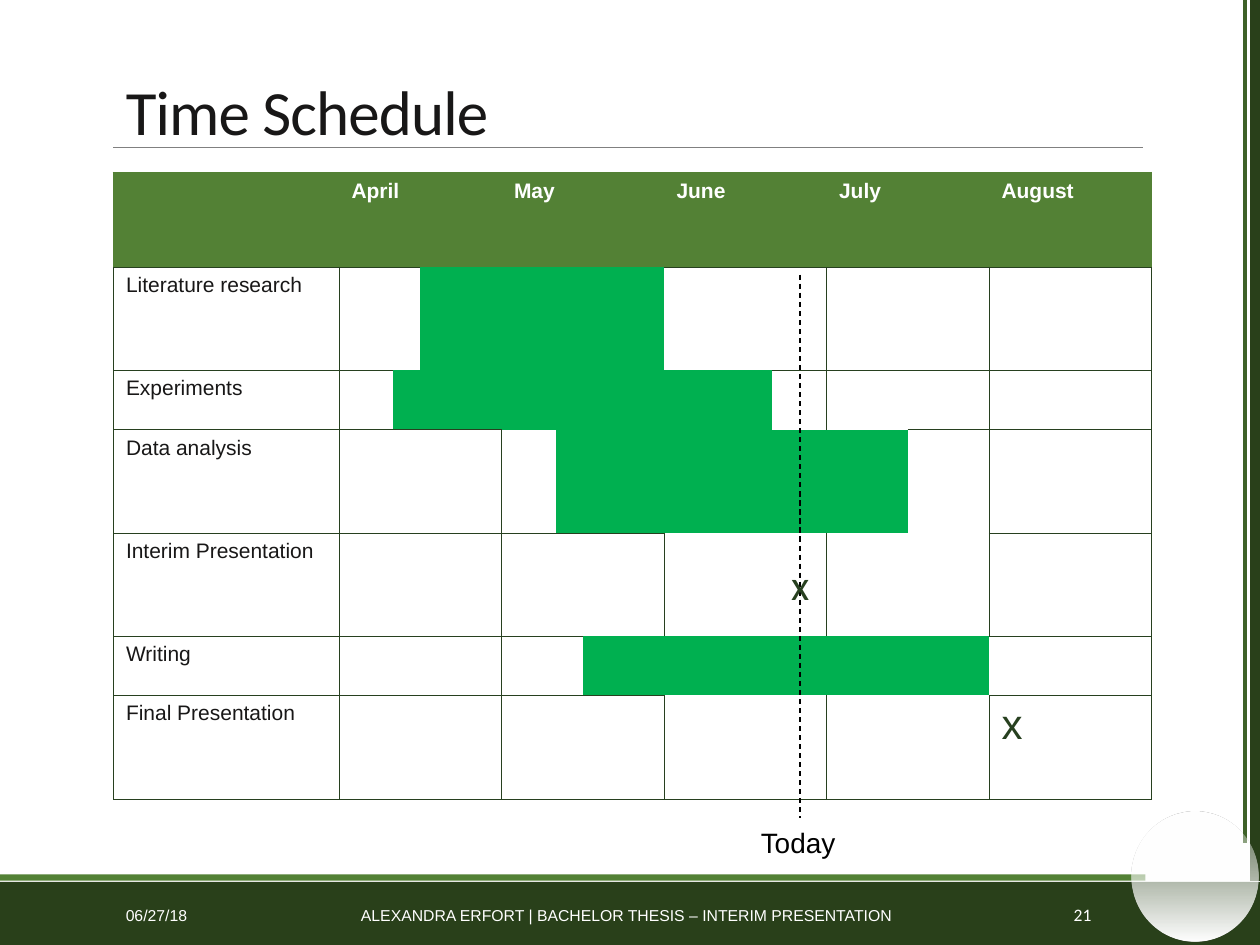
from lxml import etree
from pptx import Presentation
from pptx.dml.color import RGBColor
from pptx.enum.dml import MSO_LINE
from pptx.enum.shapes import MSO_CONNECTOR, MSO_SHAPE
from pptx.enum.text import MSO_ANCHOR, PP_ALIGN
from pptx.oxml import parse_xml
from pptx.oxml.ns import nsdecls, qn
from pptx.util import Inches, Pt

STRAIGHT = MSO_CONNECTOR.STRAIGHT
RECTANGLE, OVAL = MSO_SHAPE.RECTANGLE, MSO_SHAPE.OVAL
TOP, MIDDLE, BOTTOM = MSO_ANCHOR.TOP, MSO_ANCHOR.MIDDLE, MSO_ANCHOR.BOTTOM
LEFT, CENTER, RIGHT = PP_ALIGN.LEFT, PP_ALIGN.CENTER, PP_ALIGN.RIGHT
DASH = MSO_LINE.DASH

COLORS = {
    "white": "FFFFFF", "black": "000000", "ink": "181717", "rule": "808080",
    "footer": "29401A", "accent": "538135", "stripe": "3E6128",
    "grid": "27401F", "bar": "00B050",
}
WIDTH, HEIGHT = 10, 7.5

# Schedule grid: each month is six units wide, split where bars start or end
LABEL_WIDTH = 17.9
UNIT = 2.15
COLUMN_UNITS = [2, 1, 1, 2, 2, 1, 3, 2, 1, 1, 2, 3, 3, 6]
HEADER_ROW, TALL_ROW, SHORT_ROW = 10, 10.93, 6.27

# Month: name, columns spanned, edges
MONTHS = [("April", 4, "tb"), ("May", 3, "t"), ("June", 4, "tb"),
          ("July", 2, "tb"), ("August", 1, "trb")]

# Task: label, row height, cells as (columns spanned, edges or BAR)
BAR = "bar"
ALL = "lrtb"
TASKS = [
    ("Literature research", TALL_ROW,
     [(2, "ltb"), (2, BAR), (3, BAR), (4, "tr"), (2, ALL), (1, ALL)]),
    ("Experiments", SHORT_ROW,
     [(1, "ltb"), (2, BAR), (1, BAR), (3, BAR), (1, BAR), (2, BAR),
      (1, "tr"), (2, "ltr"), (1, ALL)]),
    ("Data analysis", TALL_ROW,
     [(4, ALL), (1, "lb"), (2, BAR), (4, BAR), (1, BAR), (1, "trb"), (1, ALL)]),
    ("Interim Presentation", TALL_ROW,
     [(4, ALL), (3, ALL), (4, "lr"), (2, "lr"), (1, ALL)]),
    ("Writing", SHORT_ROW,
     [(4, ALL), (2, "ltb"), (1, BAR), (2, BAR), (2, BAR), (2, BAR), (1, "trb")]),
    ("Final Presentation", TALL_ROW,
     [(4, ALL), (3, ALL), (4, "lrb"), (2, "lrb"), (1, ALL)]),
]


def across(percent):
    return Inches(WIDTH * percent / 100)


def down(percent):
    return Inches(HEIGHT * percent / 100)


def place(left, top, width, height):
    return across(left), down(top), across(width), down(height)


def rgb(name):
    return RGBColor.from_string(COLORS[name])


def style_text(para, size, color, font="Arial", bold=False):
    for span in para.runs:
        span.font.size = Pt(size)
        span.font.name = font
        span.font.bold = bold
        span.font.color.rgb = rgb(color)


def add_text(page, area, text, size, color, font="Arial", align=LEFT, anchor=MIDDLE):
    box = page.shapes.add_textbox(*place(*area))
    frame = box.text_frame
    frame.word_wrap = True
    frame.vertical_anchor = anchor
    frame.text = text
    para = frame.paragraphs[0]
    para.alignment = align
    style_text(para, size, color, font)
    return para


def add_line(page, start, end, color, weight, dash=None):
    line = page.shapes.add_connector(
        STRAIGHT, across(start[0]), down(start[1]), across(end[0]), down(end[1]))
    line.line.color.rgb = rgb(color)
    line.line.width = Pt(weight)
    if dash:
        line.line.dash_style = dash
    etree.SubElement(line._element.spPr, qn("a:effectLst"))


def add_block(page, kind, area, color):
    block = page.shapes.add_shape(kind, *place(*area))
    block.shadow.inherit = False
    block.fill.solid()
    block.fill.fore_color.rgb = rgb(color)
    block.line.fill.background()
    return block


def add_glass_disc(page, area):
    disc = add_block(page, OVAL, area, "white")
    stops = "".join(
        f'<a:gs pos="{position * 1000}"><a:srgbClr val="{COLORS["white"]}">'
        f'<a:alpha val="{alpha * 1000}"/></a:srgbClr></a:gs>'
        for position, alpha in [(0, 100), (17, 35), (100, 100)])
    gradient = parse_xml(
        f'<a:gradFill {nsdecls("a")} rotWithShape="1"><a:gsLst>{stops}</a:gsLst>'
        '<a:lin ang="5400000" scaled="0"/></a:gradFill>')
    properties = disc._element.spPr
    properties.replace(properties.find(qn("a:solidFill")), gradient)


def set_borders(cell, edges, outer=""):
    """Draw the named edges; those in outer take the header's accent line."""
    properties = cell._tc.get_or_add_tcPr()
    for index, edge in enumerate(ALL):
        color, weight = ("accent", 1) if edge in outer else ("grid", 0.25)
        paint = (f'<a:solidFill><a:srgbClr val="{COLORS[color]}"/></a:solidFill>'
                 if edge in edges else "<a:noFill/>")
        tag = f"a:ln{edge.upper()}"
        properties.insert(index, parse_xml(
            f'<{tag} {nsdecls("a")} w="{Pt(weight)}">{paint}</{tag}>'))


def fill_cell(cell, color=None, text="", size=12, ink="ink", bold=False):
    if color:
        cell.fill.solid()
        cell.fill.fore_color.rgb = rgb(color)
    else:
        cell.fill.background()
    if text:
        cell.text_frame.text = text
        style_text(cell.text_frame.paragraphs[0], size, ink, bold=bold)


def span_cells(table, row, column, count):
    cell = table.cell(row, column)
    if count > 1:
        cell.merge(table.cell(row, column + count - 1))
    return cell


def add_schedule(page):
    widths = [LABEL_WIDTH] + [units * UNIT for units in COLUMN_UNITS]
    heights = [HEADER_ROW] + [height for _, height, _ in TASKS]
    table = page.shapes.add_table(
        len(heights), len(widths), *place(9, 18.27, sum(widths), sum(heights))).table
    table.first_row = table.horz_banding = False
    for column, width in zip(table.columns, widths):
        column.width = across(width)
    for row, height in zip(table.rows, heights):
        row.height = down(height)

    # Month header
    column = 0
    for name, count, edges in [("", 1, "ltb")] + MONTHS:
        cell = span_cells(table, 0, column, count)
        fill_cell(cell, "accent", name, ink="white", bold=True)
        set_borders(cell, edges, outer="ltr")
        column += count

    # Tasks and their bars
    for row, (label, _, cells) in enumerate(TASKS, start=1):
        fill_cell(table.cell(row, 0), text=label)
        set_borders(table.cell(row, 0), ALL)
        column = 1
        for count, edges in cells:
            cell = span_cells(table, row, column, count)
            fill_cell(cell, "bar" if edges == BAR else None)
            set_borders(cell, "" if edges == BAR else edges)
            column += count
    fill_cell(table.cell(len(TASKS), len(COLUMN_UNITS)), text="x", size=24, ink="grid")


def add_frame(page):
    add_line(page, (9, 15.6), (90.7, 15.6), "rule", 0.5)
    add_block(page, RECTANGLE, (0, 93.33, 100, 6.67), "footer")
    add_block(page, RECTANGLE, (0, 92.53, 90.9, 0.67), "accent")
    add_line(page, (99.6, 0), (99.6, 93.2), "footer", 6)
    add_line(page, (98.8, 0), (98.8, 89.2), "stripe", 2.25)
    add_glass_disc(page, (89.8, 85.87, 10.1, 13.73))
    add_text(page, (9, 94.13, 20.3, 5.33), "06/27/18", 9, "white")
    add_text(page, (27.2, 94.13, 45, 5.33),
             "ALEXANDRA ERFORT | BACHELOR THESIS – INTERIM PRESENTATION",
             9, "white", align=CENTER)
    add_text(page, (76.8, 94.13, 10.8, 5.33), "21", 10, "white", "Calibri", RIGHT)


def main():
    deck = Presentation()
    deck.slide_width, deck.slide_height = Inches(WIDTH), Inches(HEIGHT)
    page = deck.slides.add_slide(deck.slide_layouts[6])

    add_frame(page)
    title = add_text(page, (9, 4.13, 82.5, 12.27), "Time Schedule", 36, "ink",
                     "Calibri", anchor=BOTTOM)
    title.line_spacing = 0.85
    title.runs[0].font._element.set("spc", "-50")
    add_schedule(page)

    # Today marker and interim presentation mark
    add_line(page, (63.5, 29.07), (63.5, 86.53), "black", 0.75, DASH)
    add_text(page, (59.4, 86.67, 8.7, 4.93), "Today", 16, "black", anchor=TOP)
    add_text(page, (61.8, 58.4, 3.1, 6.67), "x", 24, "grid", "Calibri", anchor=TOP)

    deck.save("out.pptx")


if __name__ == "__main__":
    main()
